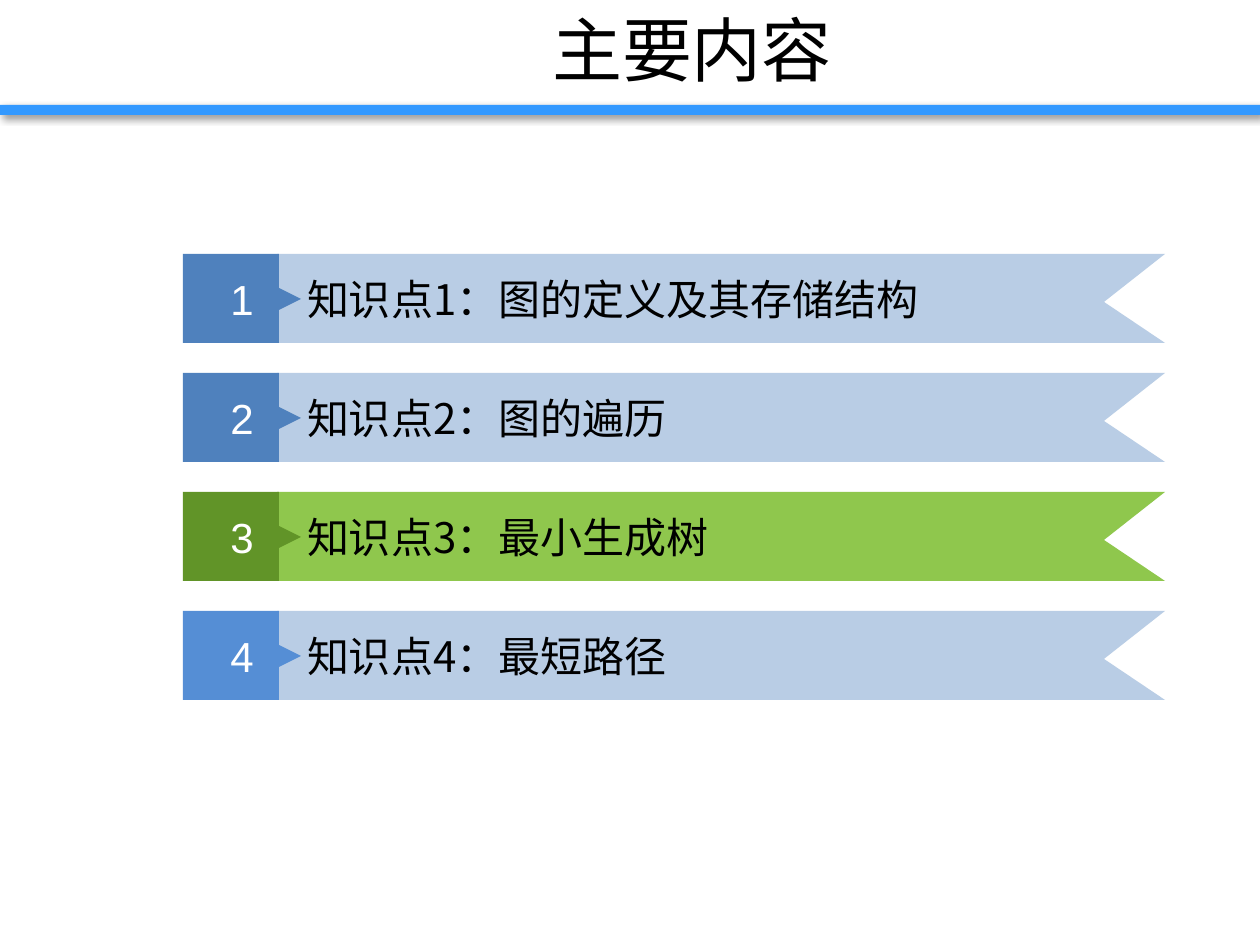
from dataclasses import dataclass

import pptx
import pptx.dml.color
import pptx.enum.shapes
import pptx.enum.text
import pptx.oxml
import pptx.oxml.ns
import pptx.util
from lxml import etree

SCALE = 914400 / 126  # EMU in one px
HAN = "Noto Sans CJK SC"
COLORS = {
    "bar": "3399FF",
    "pale": "B9CDE5",
    "blue": "4F81BD",
    "sky": "558ED5",
    "lime": "8FC74D",
    "green": "619428",
    "black": "000000",
    "white": "FFFFFF",
}
ALIGN = pptx.enum.text.PP_ALIGN
TOP, PITCH, HIGH = 254, 119, 89
RIBBON = [(277, 0), (1165, 0), (1104, 48), (1165, HIGH), (277, HIGH)]
TAG = [(183, 0), (279, 0), (279, 34), (301, 45), (279, 56), (279, HIGH), (183, HIGH)]


@dataclass
class Topic:
    title: str
    tag: str = "blue"
    band: str = "pale"


TOPICS = [
    Topic("图的定义及其存储结构"),
    Topic("图的遍历"),
    Topic("最小生成树", "green", "lime"),
    Topic("最短路径", "sky"),
]


def px(count: int) -> int:
    return pptx.util.Emu(round(count * SCALE))


def rgb(name: str):
    return pptx.dml.color.RGBColor.from_string(COLORS[name])


def paint(shape, color: str) -> None:
    shape.shadow.inherit = False
    shape.fill.solid()
    shape.fill.fore_color.rgb = rgb(color)
    shape.line.fill.background()


def write(shape, text: str, size: int, color: str, face: str, align, left: int = 0) -> None:
    """Put one centred-in-height line of text into a shape."""
    frame = shape.text_frame
    frame.word_wrap = True
    frame.vertical_anchor = pptx.enum.text.MSO_ANCHOR.MIDDLE
    frame.margin_left = px(left)
    frame.margin_right = frame.margin_top = frame.margin_bottom = 0
    para = frame.paragraphs[0]
    para.text = text
    para.alignment = align
    font = para.font
    font.size = pptx.util.Pt(size)
    font.color.rgb = rgb(color)
    font.name = face
    props = para._p.pPr.find(pptx.oxml.ns.qn("a:defRPr"))
    etree.SubElement(props, pptx.oxml.ns.qn("a:ea"), typeface=face)


def outline(shapes, points: list[tuple[int, int]], top: int, color: str):
    (left, first), *rest = [(x, top + y) for x, y in points]
    build = shapes.build_freeform(left, first, scale=SCALE)
    build.add_line_segments(rest, close=True)
    shape = build.convert_to_shape()
    paint(shape, color)
    return shape


def draw_bar(shapes) -> None:
    kind = pptx.enum.shapes.MSO_SHAPE.RECTANGLE
    bar = shapes.add_shape(kind, 0, px(105), px(1260), px(10))
    paint(bar, "bar")
    shade = pptx.oxml.parse_xml(
        f'<a:outerShdw {pptx.oxml.ns.nsdecls("a")} blurRad="50800" dist="38100"'
        ' dir="2700000" algn="tl" rotWithShape="0">'
        f'<a:srgbClr val="{COLORS["black"]}"><a:alpha val="40000"/></a:srgbClr>'
        "</a:outerShdw>"
    )
    bar._element.spPr.find(pptx.oxml.ns.qn("a:effectLst")).append(shade)


def draw_topic(shapes, rank: int, topic: Topic) -> None:
    top = TOP + (rank - 1) * PITCH
    band = outline(shapes, RIBBON, top, topic.band)
    write(band, f"知识点{rank}：{topic.title}", 24, "black", HAN, ALIGN.LEFT, 30)
    tag = outline(shapes, TAG, top, topic.tag)
    write(tag, str(rank), 24, "white", "Arial", ALIGN.CENTER)


def main() -> None:
    deck = pptx.Presentation()
    deck.slide_width, deck.slide_height = px(1260), px(945)
    shapes = deck.slides.add_slide(deck.slide_layouts[6]).shapes
    draw_bar(shapes)
    title = shapes.add_textbox(px(124), 0, px(1136), px(97))
    write(title, "主要内容", 40, "black", HAN, ALIGN.CENTER)
    for rank, topic in enumerate(TOPICS, 1):
        draw_topic(shapes, rank, topic)
    deck.save("out.pptx")


if __name__ == "__main__":
    main()
